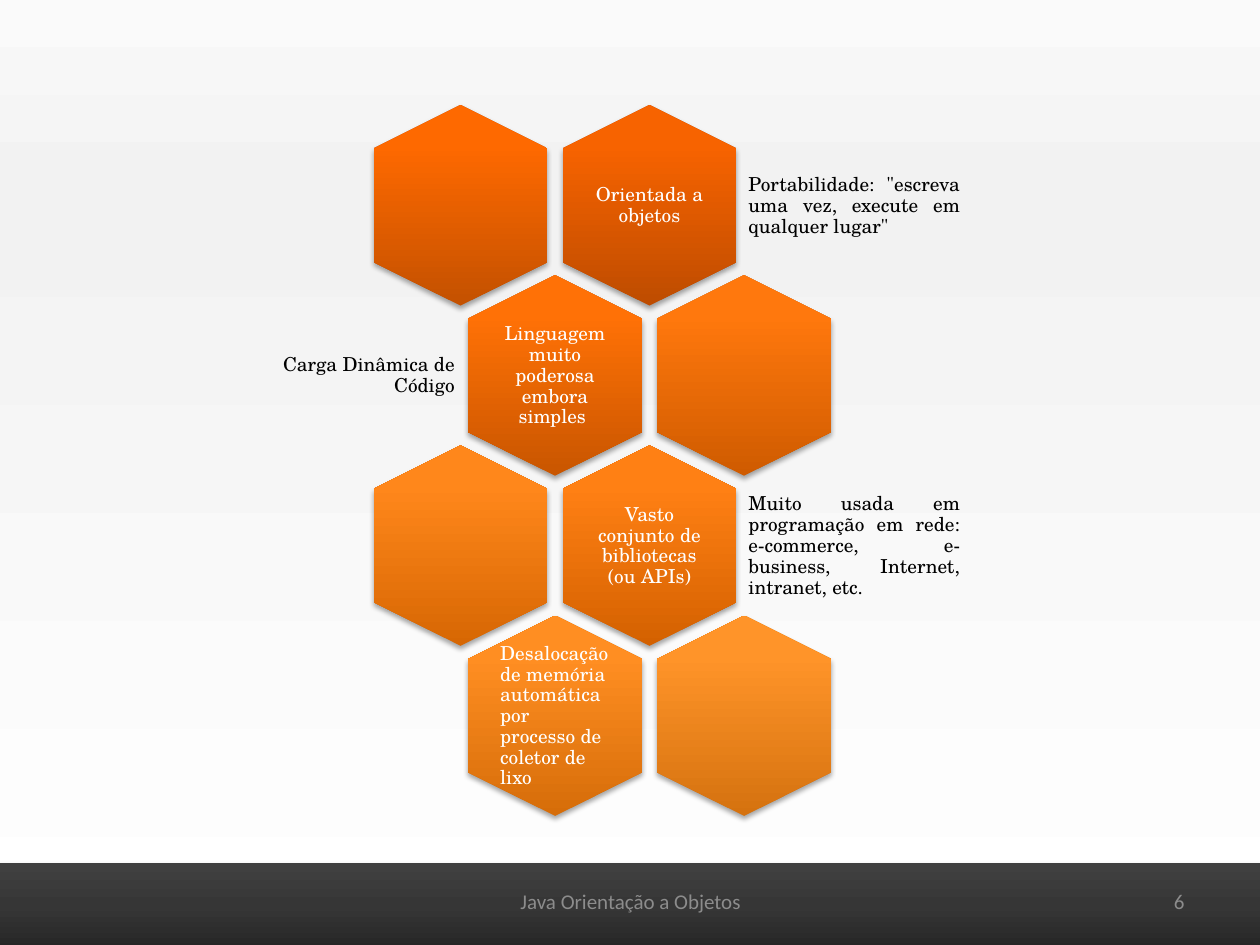
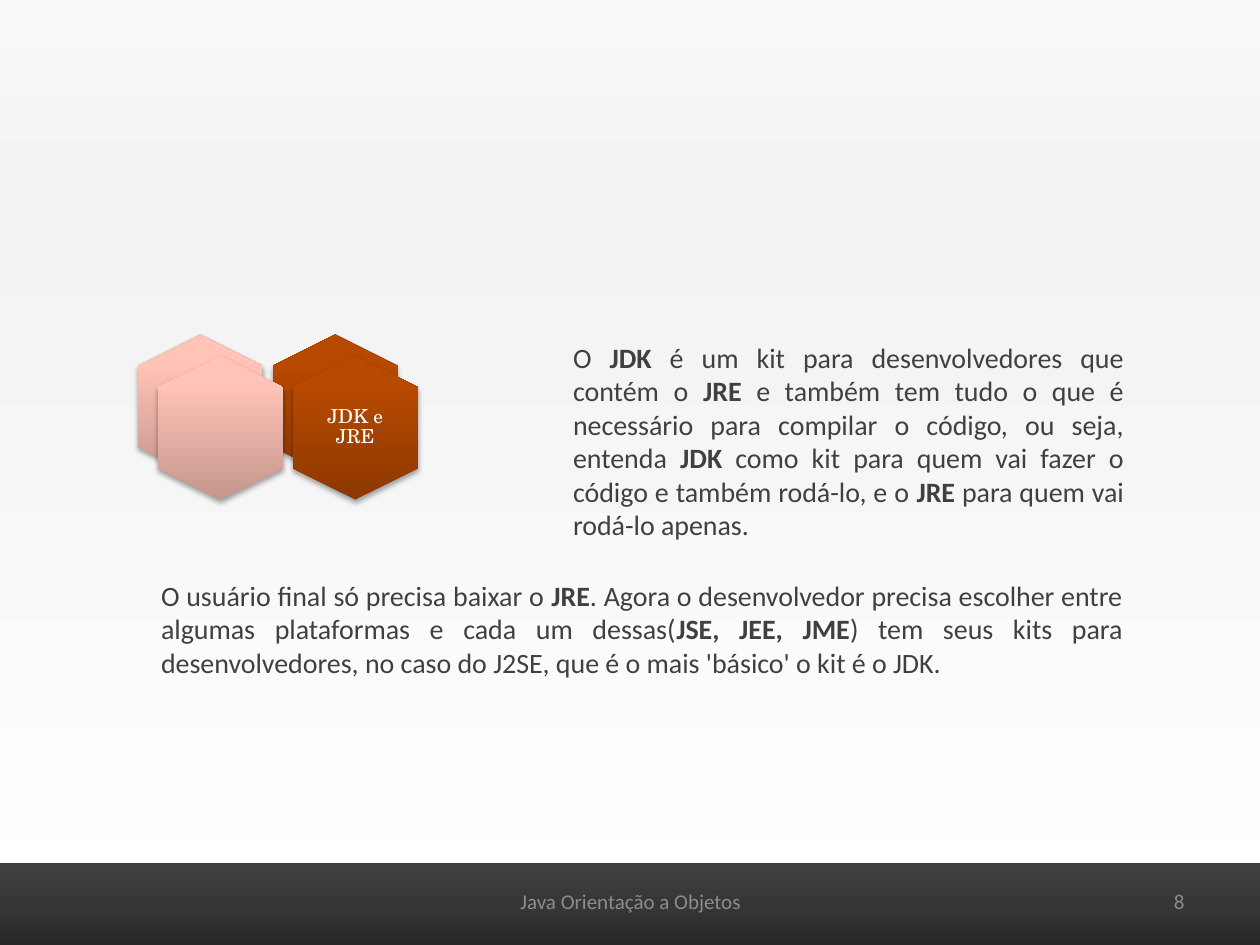
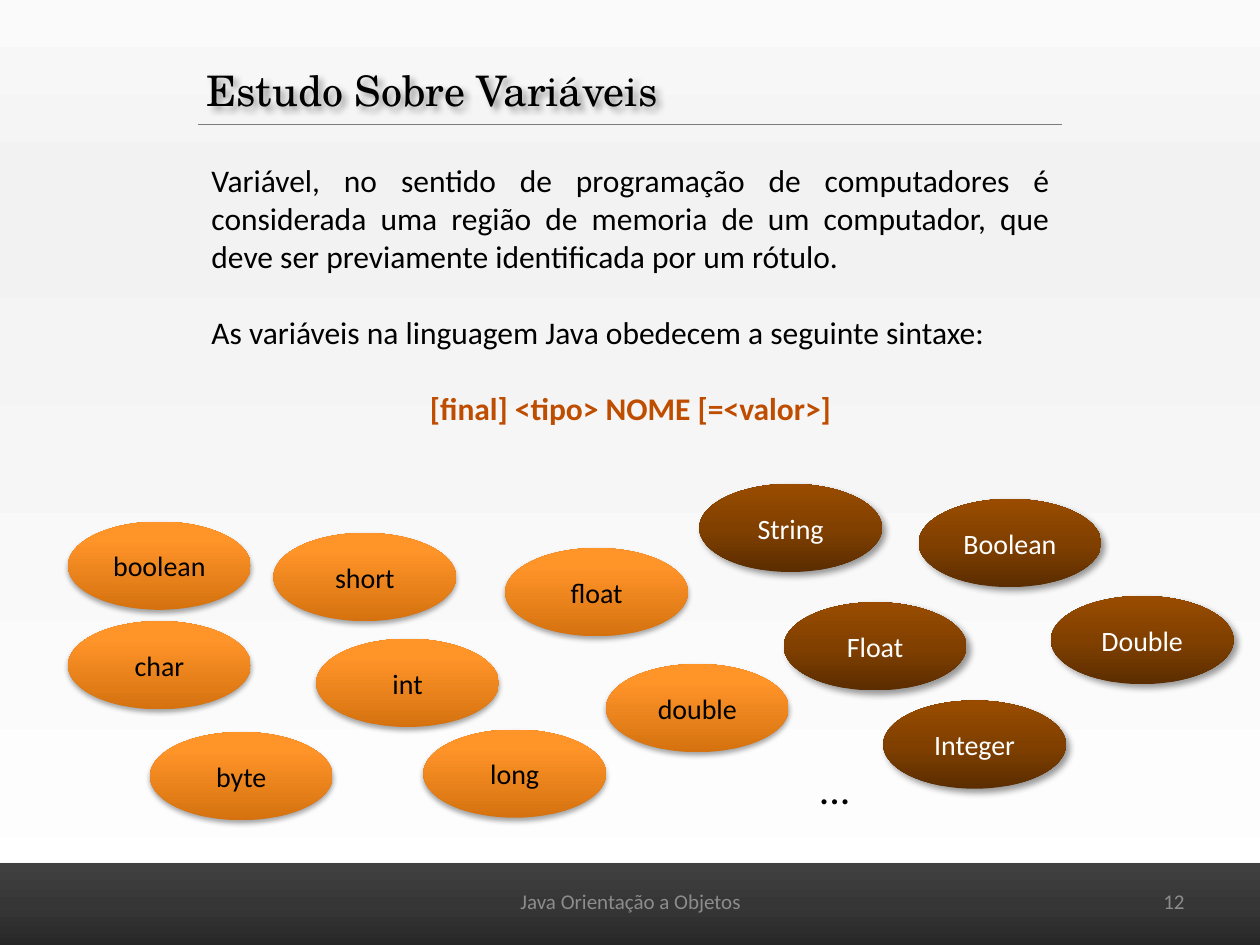
from dataclasses import dataclass

from lxml.etree import SubElement as Sub
from pptx import Presentation
from pptx.dml.color import RGBColor
from pptx.enum.shapes import MSO_CONNECTOR as Link, MSO_SHAPE as Kind
from pptx.enum.text import MSO_ANCHOR as Anchor, PP_ALIGN as Align
from pptx.oxml.ns import qn
from pptx.slide import Slide
from pptx.util import Inches, Pt

# Shared look
SANS, SERIF = "Calibri", "TeX Gyre Schola"
BLACK, WHITE, GREY, INK, RUST = "000000", "FFFFFF", "8C8C8C", "404040", "BF4D00"
RULE = "7C7C7C"
PAGE = ((0, "FAFAFA"), (20, "F2F2F2"), (100, "FFFFFF"))
BAND = ((0, "262626"), (50, "363636"), (100, "404040"))
BROWN = ((0, "5B2D00"), (50, "814000"), (100, "994C00"))


def glow(low: str, mid: str, top: str) -> tuple:
    return (0, low), (80, mid), (100, top)


AMBER = glow("D5720F", "FF9429", "FF952B")
DARK = glow("8D3800", "B74900", "B84900")
PINK = glow("C5968C", "FFC3B7", "FFC5B9")


@dataclass(frozen=True)
class Shade:
    alpha: int
    blur: float
    dist: float
    angle: int


SOFT = Shade(35, 3.1, 1.8, 90)
DEEP = Shade(40, 4, 3, 45)


@dataclass(frozen=True)
class Hex:
    row: int
    col: int
    stops: tuple
    label: str = ""
    align: Align = Align.CENTER


@dataclass(frozen=True)
class Side:
    row: int
    left: float
    width: float
    label: str
    align: Align


@dataclass(frozen=True)
class Oval:
    label: str
    left: float
    top: float


HEXES = (
    Hex(0, 1, glow("BE4C00", "F76300", "F86300"), "Orientada a objetos"),
    Hex(0, 0, glow("C45100", "FE6900", "FF6A00")),
    Hex(1, 0, glow("C95600", "FF7106", "FF7207"), "Linguagem muito poderosa embora simples "),
    Hex(1, 1, glow("CF5B00", "FF780D", "FF790F")),
    Hex(2, 1, glow("D46100", "FF8014", "FF8016"), "Vasto conjunto de bibliotecas (ou APIs)"),
    Hex(2, 0, glow("D76703", "FF871B", "FF871D")),
    Hex(3, 0, glow("D66D09", "FF8E22", "FF8E24"),
        "Desalocação de memória automática por processo de coletor de lixo", Align.LEFT),
    Hex(3, 1, AMBER),
)
SIDES = (
    Side(0, 5.89, 1.78, 'Portabilidade: "escreva uma vez, execute em qualquer lugar"', Align.JUSTIFY),
    Side(1, 1.94, 1.72, "Carga Dinâmica de Código", Align.RIGHT),
    Side(2, 5.89, 1.78, "Muito usada em programação em rede: e-commerce, e-business, "
         "Internet, intranet, etc.", Align.JUSTIFY),
)
BASIC = (
    Oval("boolean", 0.54, 4.14), Oval("char", 0.54, 4.93), Oval("byte", 1.19, 5.81),
    Oval("short", 2.17, 4.23), Oval("int", 2.51, 5.07), Oval("long", 3.36, 5.79),
    Oval("float", 4.01, 4.35), Oval("double", 4.81, 5.27),
)
CLASSES = (
    Oval("String", 5.55, 3.84), Oval("Boolean", 7.29, 3.96), Oval("Float", 6.22, 4.78),
    Oval("Double", 8.34, 4.73), Oval("Integer", 7.01, 5.56),
)


# Drawing tools
def rgb(code: str) -> RGBColor:
    return RGBColor.from_string(code)


def blend(fill, node, stops: tuple, angle: int) -> None:
    """Give the fill held by node a linear gradient, angle clockwise."""
    fill.solid()
    solid = node.find(qn("a:solidFill"))
    grad = Sub(node, qn("a:gradFill"), rotWithShape="0")
    node.replace(solid, grad)
    row = Sub(grad, qn("a:gsLst"))
    for pos, code in stops:
        stop = Sub(row, qn("a:gs"), pos=str(pos * 1000))
        Sub(stop, qn("a:srgbClr"), val=code)
    Sub(grad, qn("a:lin"), ang=str(angle * 60000), scaled="0")


def cast(shape, shade: Shade) -> None:
    shape.shadow.inherit = False
    fx = shape.element.spPr.find(qn("a:effectLst"))
    outer = Sub(fx, qn("a:outerShdw"), blurRad=str(Pt(shade.blur)), dist=str(Pt(shade.dist)),
                dir=str(shade.angle * 60000), algn="ctr", rotWithShape="0")
    tone = Sub(outer, qn("a:srgbClr"), val=BLACK)
    Sub(tone, qn("a:alpha"), val=str(shade.alpha * 1000))


def write(shape, *lines: str, size: float = 16, font: str = SANS, color: str = BLACK,
          align: Align = Align.LEFT, anchor: Anchor = Anchor.TOP, inset: float | None = None,
          lead: float | None = None, gap: float = 0, wrap: bool = True):
    """Fill a shape with paragraphs; asterisks enclose bold words."""
    frame = shape.text_frame
    frame.word_wrap, frame.vertical_anchor = wrap, anchor
    if inset is not None:
        frame.margin_left = frame.margin_right = Inches(inset)
        frame.margin_top = frame.margin_bottom = Inches(inset)
    for num, line in enumerate(lines):
        para = frame.add_paragraph() if num else frame.paragraphs[0]
        para.alignment = align
        if lead:
            para.line_spacing = lead
        if num and gap:
            para.space_before = Pt(gap)
        for part, words in enumerate(line.split("*")):
            if words:
                run = para.add_run()
                run.text = words
                run.font.name, run.font.size = font, Pt(size)
                run.font.bold = part % 2 == 1
                run.font.color.rgb = rgb(color)
    return frame


def text(slide: Slide, box: tuple, *lines: str, **form):
    return write(slide.shapes.add_textbox(*map(Inches, box)), *lines, **form)


def solid(slide: Slide, kind: Kind, box: tuple, stops: tuple, shade: Shade = SOFT):
    shape = slide.shapes.add_shape(kind, *map(Inches, box))
    blend(shape.fill, shape.element.spPr, stops, 270)
    shape.line.fill.background()
    cast(shape, shade)
    return shape


def hexagon(slide: Slide, left: float, top: float, wide: float, high: float, stops: tuple) -> None:
    solid(slide, Kind.HEXAGON, (left, top, wide, high), stops).rotation = 90


def label(slide: Slide, box: tuple, words: str, **form) -> None:
    text(slide, box, words, size=11, font=SERIF, anchor=Anchor.MIDDLE, inset=0.05, lead=0.9, **form)


def ovals(slide: Slide, group: tuple, stops: tuple, color: str, shade: Shade) -> None:
    for item in group:
        shape = solid(slide, Kind.OVAL, (item.left, item.top, 1.45, 0.7), stops, shade)
        write(shape, item.label, color=color, align=Align.CENTER, anchor=Anchor.MIDDLE)


def start(prs, layout: int, page: int) -> Slide:
    """Add a slide with the bottom band, footer and page number."""
    slide = prs.slides.add_slide(prs.slide_layouts[layout])
    solid(slide, Kind.RECTANGLE, (-0.12, 6.85, 10.24, 0.68), BAND)
    form = dict(size=12, color=GREY, anchor=Anchor.MIDDLE)
    text(slide, (7.17, 6.95, 2.33, 0.4), str(page), align=Align.RIGHT, **form)
    text(slide, (3.42, 6.95, 3.17, 0.4), "Java Orientação a Objetos", align=Align.CENTER, **form)
    return slide


# Slides
def traits(prs) -> None:
    slide = start(prs, 6, 6)
    first, step = 0.94, 1.35
    for cell in HEXES:
        left = 2.86 + 1.5 * cell.col + 0.75 * (cell.row % 2)
        top = first + step * cell.row
        hexagon(slide, left, top, 1.59, 1.38, cell.stops)
        if cell.label:
            label(slide, (left + 0.31, top + 0.15, 0.97, 1.09), cell.label,
                  color=WHITE, align=cell.align)
    for side in SIDES:
        label(slide, (side.left, first + step * side.row + 0.22, side.width, 0.95),
              side.label, align=side.align)


def kits(prs) -> None:
    slide = start(prs, 6, 8)
    for left, top in ((1.02, 2.73), (1.18, 2.9)):
        hexagon(slide, left + 1.07, top, 1.14, 0.99, DARK)
        hexagon(slide, left, top, 1.14, 0.99, PINK)
    label(slide, (2.48, 3, 0.68, 0.78), "JDK e JRE", color=WHITE, align=Align.CENTER)
    form = dict(color=INK, align=Align.JUSTIFY)
    text(slide, (4.45, 2.65, 4.57, 1.72),
         "O *JDK* é um kit para desenvolvedores que contém o *JRE* e também tem tudo o que é "
         "necessário para compilar o código, ou seja, entenda *JDK* como kit para quem vai fazer "
         "o código e também rodá-lo, e o *JRE* para quem vai rodá-lo apenas.", **form)
    text(slide, (1.18, 4.54, 7.83, 0.91),
         "O usuário final só precisa baixar o *JRE*. Agora o desenvolvedor precisa escolher entre "
         "algumas plataformas e cada um dessas(*JSE, JEE, JME*) tem seus kits para "
         "desenvolvedores, no caso do J2SE, que é o mais 'básico' o kit é o JDK.", **form)


def types(prs) -> None:
    slide = start(prs, 5, 12)
    ovals(slide, BASIC, AMBER, BLACK, SOFT)
    ovals(slide, CLASSES, BROWN, WHITE, DEEP)
    text(slide, (6.4, 6, 0.45, 0.5), "...", size=24, wrap=False)

    # Title and its rule
    title = slide.shapes.title
    title.left, title.top, title.width, title.height = map(Inches, (1.54, 0.46, 6.88, 0.5))
    write(title, "Estudo Sobre Variáveis", size=24, font=SERIF)
    cast(title, DEEP)
    rule = slide.shapes.add_connector(Link.STRAIGHT, *map(Inches, (1.57, 0.99, 8.43, 0.99)))
    rule.line.color.rgb, rule.line.width = rgb(RULE), Pt(0.75)
    Sub(rule.element.spPr, qn("a:effectLst"))

    # Definition and syntax
    frame = text(slide, (1.58, 1.23, 6.85, 2.22),
                 "Variável, no sentido de programação de computadores é considerada uma região de "
                 "memoria de um computador, que deve ser previamente identificada por um rótulo.",
                 "As variáveis na linguagem Java obedecem a seguinte sintaxe:",
                 "*[final] <tipo> NOME [=<valor>]*", size=18, align=Align.JUSTIFY, gap=22)
    syntax = frame.paragraphs[-1]
    syntax.alignment = Align.CENTER
    syntax.runs[0].font.color.rgb = rgb(RUST)


def main() -> None:
    prs = Presentation()
    prs.slide_width, prs.slide_height = Inches(10), Inches(7.5)
    master = prs.slide_master
    fill = master.background.fill
    blend(fill, master.element.find(".//" + qn("p:bgPr")), PAGE, 90)
    for build in (traits, kits, types):
        build(prs)
    prs.save("out.pptx")


if __name__ == "__main__":
    main()
